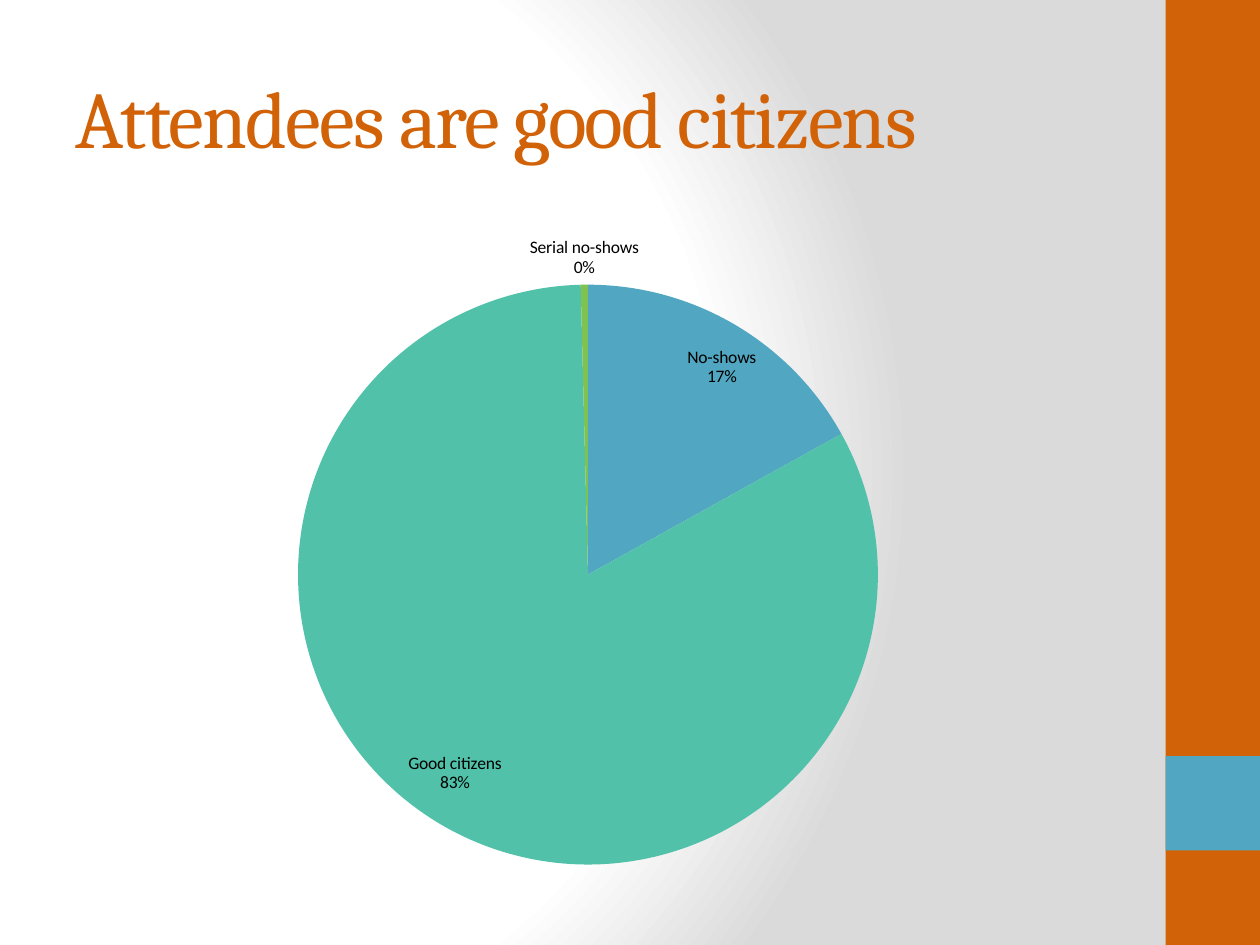
import dataclasses

import pptx
import pptx.chart.data
import pptx.dml.color
import pptx.enum.chart
import pptx.enum.shapes
import pptx.enum.text
import pptx.oxml
import pptx.oxml.ns
import pptx.util

WIDTH, HEIGHT = pptx.util.Inches(10), pptx.util.Inches(7.5)
ORANGE, BLUE, TEAL, GREEN = "D16207", "51A6C2", "51C2A9", "7EC251"


@dataclasses.dataclass
class Area:
    """A rectangle in shares of the slide's size."""
    left: float
    top: float
    width: float
    height: float

    def lengths(self) -> tuple[int, int, int, int]:
        return (round(self.left * WIDTH), round(self.top * HEIGHT),
                round(self.width * WIDTH), round(self.height * HEIGHT))


@dataclasses.dataclass
class Band:
    area: Area
    colour: str


@dataclasses.dataclass
class Slice:
    name: str
    value: float
    colour: str


BANDS = [Band(Area(37 / 40, 0, 3 / 40, 1), ORANGE),
         Band(Area(37 / 40, 0.8, 3 / 40, 0.1), BLUE)]
# The last share rounds to 0% but is still a visible sliver.
SLICES = [Slice("No-shows", 17, BLUE),
          Slice("Good citizens", 83, TEAL),
          Slice("Serial no-shows", 0.4, GREEN)]
BACKGROUND_STOPS = [(0, "FFFFFF"), (75, "FFFFFF"), (100, "DADADA")]
TITLE_AREA = Area(0.05, 0.04, 5 / 6, 1 / 6)
PIE_AREA = Area(0.05, 7 / 30, 5 / 6, 0.7)


def rgb(colour: str) -> pptx.dml.color.RGBColor:
    return pptx.dml.color.RGBColor.from_string(colour)


def paint_background(page) -> None:
    """Fill the page with a circular gradient."""
    page.background.fill.gradient()
    plain = page._element.find(".//" + pptx.oxml.ns.qn("a:gradFill"))
    stops = "".join(f'<a:gs pos="{share * 1000}"><a:srgbClr val="{colour}"/></a:gs>'
                    for share, colour in BACKGROUND_STOPS)
    circular = pptx.oxml.parse_xml(
        f'<a:gradFill {pptx.oxml.ns.nsdecls("a")} rotWithShape="1">'
        f'<a:gsLst>{stops}</a:gsLst><a:path path="circle">'
        '<a:fillToRect l="20000" t="50000" r="100000" b="50000"/>'
        '</a:path></a:gradFill>')
    plain.getparent().replace(plain, circular)


def draw_band(page, band: Band) -> None:
    box = page.shapes.add_shape(pptx.enum.shapes.MSO_SHAPE.RECTANGLE,
                                *band.area.lengths())
    box.shadow.inherit = False
    box.fill.solid()
    box.fill.fore_color.rgb = rgb(band.colour)
    box.line.fill.background()


def write_title(page, text: str, area: Area) -> None:
    title = page.shapes.title
    title.left, title.top, title.width, title.height = area.lengths()
    frame = title.text_frame
    frame.word_wrap = True
    frame.auto_size = pptx.enum.text.MSO_AUTO_SIZE.NONE
    frame.vertical_anchor = pptx.enum.text.MSO_ANCHOR.MIDDLE
    para = frame.paragraphs[0]
    para.alignment = pptx.enum.text.PP_ALIGN.LEFT
    span = para.add_run()
    span.text = text
    span.font.name = "Cambria"
    span.font.size = pptx.util.Pt(46)
    span.font.color.rgb = rgb(ORANGE)
    span.font._element.set("spc", "-100")


def draw_pie(page, slices: list[Slice], area: Area) -> None:
    data = pptx.chart.data.CategoryChartData()
    data.categories = [part.name for part in slices]
    data.add_series("Series 1", [part.value for part in slices])
    chart = page.shapes.add_chart(pptx.enum.chart.XL_CHART_TYPE.PIE,
                                  *area.lengths(), data).chart
    chart.has_title = False
    chart.has_legend = False
    chart.font.name = "Calibri"
    chart.font.size = pptx.util.Pt(10)
    chart.font.color.rgb = rgb("000000")

    plot = chart.plots[0]
    plot.vary_by_categories = True
    for index, part in enumerate(slices):
        point = plot.series[0].points[index]
        point.format.fill.solid()
        point.format.fill.fore_color.rgb = rgb(part.colour)
        point.format.line.fill.background()

    labels = plot.series[0].data_labels
    labels.show_category_name = True
    labels.show_percentage = True
    labels.show_value = False
    labels.number_format = "0%"
    labels.number_format_is_linked = False
    labels.position = pptx.enum.chart.XL_LABEL_POSITION.BEST_FIT


def main() -> None:
    deck = pptx.Presentation()
    deck.slide_width, deck.slide_height = WIDTH, HEIGHT
    page = deck.slides.add_slide(deck.slide_layouts.get_by_name("Title Only"))
    paint_background(page)
    for band in BANDS:
        draw_band(page, band)
    write_title(page, "Attendees are good citizens", TITLE_AREA)
    draw_pie(page, SLICES, PIE_AREA)
    deck.save("out.pptx")


if __name__ == "__main__":
    main()
